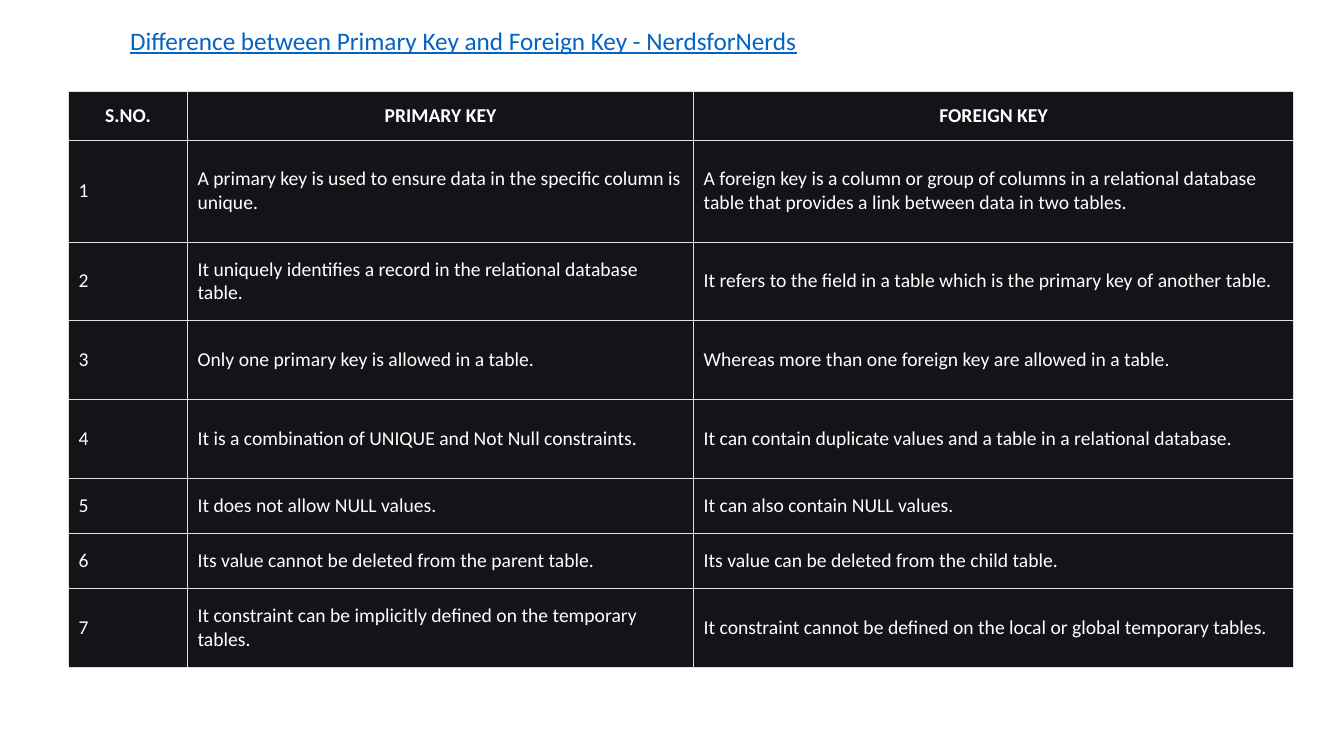
from pptx import Presentation
from pptx.dml.color import RGBColor
from pptx.enum.text import MSO_ANCHOR, MSO_AUTO_SIZE, PP_ALIGN
from pptx.oxml import parse_xml
from pptx.oxml.ns import nsdecls
from pptx.util import Inches, Pt

COLORS = {"cell": "131417", "text": "FFFFFF", "line": "DFDFDF", "link": "0563C1"}
WIDTHS = [1.18, 5.02, 5.95]
HEIGHTS = [0.49, 1.01, 0.78, 0.78, 0.78, 0.55, 0.55, 0.78]
HEADS = ["S.NO.", "PRIMARY KEY", "FOREIGN KEY"]
PAIRS = [
    ("A primary key is used to ensure data in the specific column is unique.",
     "A foreign key is a column or group of columns in a relational database "
     "table that provides a link between data in two tables."),
    ("It uniquely identifies a record in the relational database table.",
     "It refers to the field in a table which is the primary key of another table."),
    ("Only one primary key is allowed in a table.",
     "Whereas more than one foreign key are allowed in a table."),
    ("It is a combination of UNIQUE and Not Null constraints.",
     "It can contain duplicate values and a table in a relational database."),
    ("It does not allow NULL values.",
     "It can also contain NULL values."),
    ("Its value cannot be deleted from the parent table.",
     "Its value can be deleted from the child table."),
    ("It constraint can be implicitly defined on the temporary tables.",
     "It constraint cannot be defined on the local or global temporary tables."),
]


def style(para, size, color, align):
    para.alignment = align
    para.font.name = "Calibri"
    para.font.size = Pt(size)
    para.font.color.rgb = RGBColor.from_string(COLORS[color])


def border(cell):
    props = cell._tc.get_or_add_tcPr()
    for spot, side in enumerate(["lnL", "lnR", "lnT", "lnB"]):
        props.insert(spot, parse_xml(
            f'<a:{side} {nsdecls("a")} w="{Pt(0.23)}"><a:solidFill>'
            f'<a:srgbClr val="{COLORS["line"]}"/></a:solidFill></a:{side}>'))


deck = Presentation()
deck.slide_width, deck.slide_height = Inches(13.33), Inches(7.5)
slide = deck.slides.add_slide(deck.slide_layouts[5])

title = slide.shapes.title
title.left, title.top = Inches(1.19), Inches(0.2)
title.width, title.height = Inches(7.46), Inches(0.4)
frame = title.text_frame
frame.text = "Difference between Primary Key and Foreign Key - NerdsforNerds"
frame.word_wrap = True
frame.auto_size = MSO_AUTO_SIZE.SHAPE_TO_FIT_TEXT
frame.vertical_anchor = MSO_ANCHOR.TOP
style(frame.paragraphs[0], 18, "link", PP_ALIGN.LEFT)
frame.paragraphs[0].font.underline = True

rows = [HEADS] + [(str(num), *pair) for num, pair in enumerate(PAIRS, 1)]
table = slide.shapes.add_table(
    len(rows), len(HEADS), Inches(0.68), Inches(0.9),
    Inches(sum(WIDTHS)), Inches(sum(HEIGHTS))).table
for col, width in zip(table.columns, WIDTHS):
    col.width = Inches(width)
for row, height in zip(table.rows, HEIGHTS):
    row.height = Inches(height)

for r, row in enumerate(rows):
    head = r == 0
    for c, text in enumerate(row):
        cell = table.cell(r, c)
        cell.text = text
        cell.fill.solid()
        cell.fill.fore_color.rgb = RGBColor.from_string(COLORS["cell"])
        cell.vertical_anchor = MSO_ANCHOR.MIDDLE
        cell.margin_left = cell.margin_right = Inches(0.04 if head and c == 0 else 0.1)
        cell.margin_top = cell.margin_bottom = Inches(0.1 if head else 0.13)
        para = cell.text_frame.paragraphs[0]
        style(para, 14, "text", PP_ALIGN.CENTER if head else PP_ALIGN.LEFT)
        para.font.bold = head
        border(cell)

deck.save("out.pptx")
